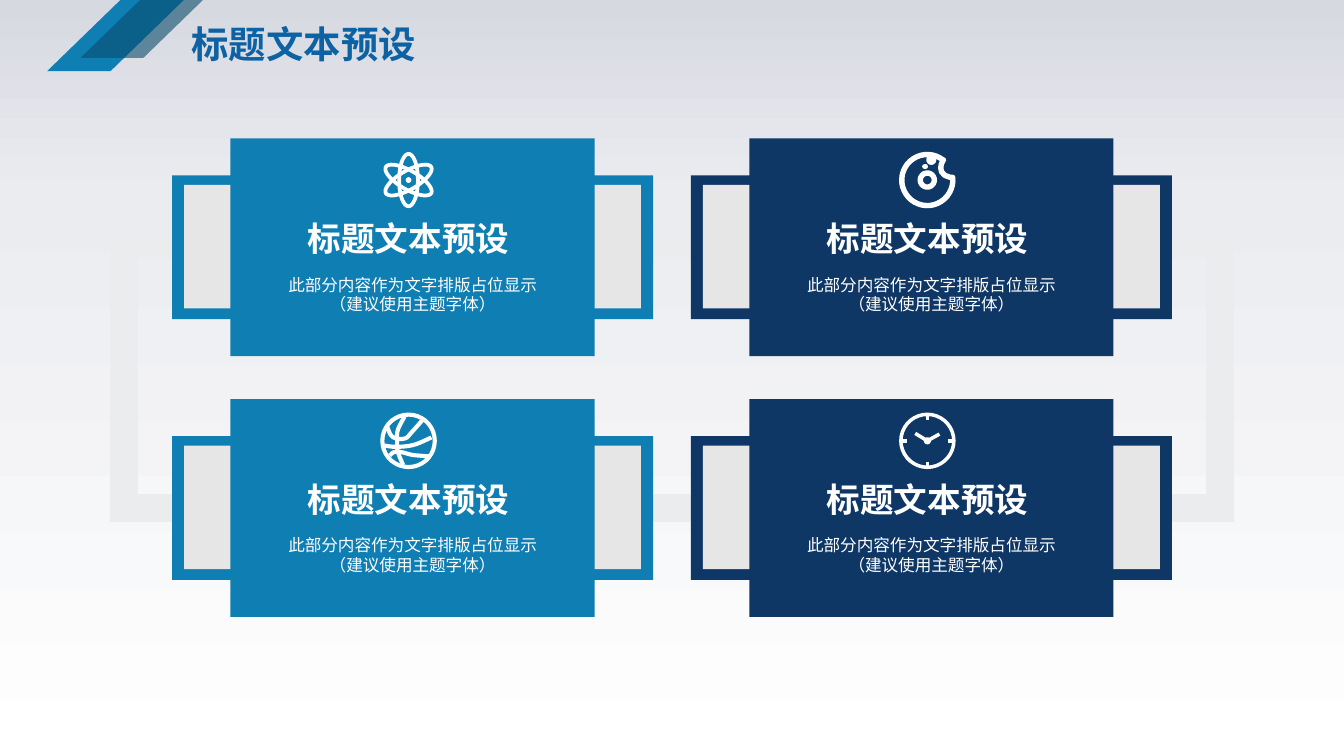
from math import cos, radians, sin

from lxml import etree
from pptx import Presentation
from pptx.dml.color import RGBColor
from pptx.enum.shapes import MSO_SHAPE
from pptx.enum.text import MSO_ANCHOR, PP_ALIGN
from pptx.oxml.ns import qn
from pptx.util import Inches, Pt

RECTANGLE, PARALLELOGRAM = MSO_SHAPE.RECTANGLE, MSO_SHAPE.PARALLELOGRAM
MIDDLE, BOTTOM = MSO_ANCHOR.MIDDLE, MSO_ANCHOR.BOTTOM
CENTER = PP_ALIGN.CENTER

THEME = {
    "font": "Calibri", "white": "FFFFFF", "title": "0D62A4", "blue": "0F7EB3",
    "navy": "0F3766", "shade": "094C6D", "panel": "E6E6E6", "track": "EAECED",
    "background": [(0, "D7D9E1"), (26, "EBECF0"), (100, "FFFFFF")],
    "title_size": 20, "heading_size": 18, "body_size": 8.9,
}

TITLE = "标题文本预设"
HEADING = "标题文本预设"
BODY = "此部分内容作为文字排版占位显示\n（建议使用主题字体）"
# column, row, colour, icon
CARDS = [(0, 0, "blue", "atom"), (1, 0, "navy", "donut"),
         (0, 1, "blue", "ball"), (1, 1, "navy", "clock")]

SLIDE_WIDTH = 10
SLIDE_HEIGHT = SLIDE_WIDTH * 9 / 16
COLUMN_LEFT, COLUMN_PITCH = 1.28, 3.86
ROW_TOP, ROW_PITCH = 1.03, 1.94
FRAME_WIDTH, FRAME_HEIGHT = 3.58, 1.07
CARD_WIDTH, CARD_HEIGHT = 2.71, 1.62


def ring(x, y, radius_x, radius_y, turn=0):
    """Return the closed outline of an ellipse, turned by some degrees."""
    tilt_x, tilt_y = cos(radians(turn)), sin(radians(turn))
    points = []
    for angle in range(0, 360, 10):
        across, down = radius_x * cos(radians(angle)), radius_y * sin(radians(angle))
        points.append((x + across * tilt_x - down * tilt_y, y + across * tilt_y + down * tilt_x))
    return points, True


def smooth(points, steps=6):
    """Return an open Catmull-Rom curve through the points."""
    padded = [points[0], *points, points[-1]]
    curve = []
    for corners in zip(padded, padded[1:], padded[2:], padded[3:]):
        for t in (step / steps for step in range(steps)):
            curve.append(tuple(
                q + t / 2 * (r - p + t * (2*p - 5*q + 4*r - s + t * (3*q - p - 3*r + s)))
                for p, q, r, s in zip(*corners)))
    return curve + [points[-1]], False


BITTEN_EDGE = [(19 * cos(radians(angle)), 19 * sin(radians(angle))) for angle in range(-6, 310, 9)]
BITE = [(12, -15), (10.5, -12), (10, -9), (10.7, -6), (13, -3.5), (17, -2)]
SEAMS = [[(-3, -18), (-8, -8), (-8.5, 0), (-8, 8), (-4, 18)],
         [(10, -15), (2, -6), (-2, -2), (-8, -1.5), (-13, -4), (-16, -11)],
         [(-18, 3.5), (-9, 4.5), (4, 3), (17, -2.5)],
         [(-14, 11), (-11, 8.5), (-5, 8.5), (3, 10.5), (15, 11.5)]]
TICKS = [([(15.5 * x, 15.5 * y), (19 * x, 19 * y)], False)
         for x, y in ((1, 0), (-1, 0), (0, 1), (0, -1))]
# line width, then contours in hundredths of an inch from the icon's centre
ICONS = {
    "atom": (2, [ring(0, 0, 7, 19.5, turn) for turn in (0, 60, 120)] + [ring(0, 0, 0.7, 0.7)]),
    "donut": (2.9, [(BITTEN_EDGE + BITE, True), ring(0, 0, 5.2, 5.2), ring(3, -15, 1.7, 1.7),
                    ring(-1.5, -10, 0.1, 0.1)]),
    "ball": (2.2, [ring(0, 0, 19.5, 19.5)] + [smooth(seam) for seam in SEAMS]),
    "clock": (1.9, [ring(0, 0, 19.7, 19.7), ring(0, 0, 1.3, 1.3), ([(0, 0), (-9, -5.5)], False),
                    ([(0, 0), (9, -5)], False)] + TICKS),
}


def color(name):
    return RGBColor.from_string(THEME[name])


def add_filled(slide, kind, left, top, width, height, fill):
    shape = slide.shapes.add_shape(kind, Inches(left), Inches(top), Inches(width), Inches(height))
    shape.shadow.inherit = False
    shape.line.fill.background()
    if fill:
        shape.fill.solid()
        shape.fill.fore_color.rgb = color(fill)
    else:
        shape.fill.background()
    return shape


def outline(shape, name, width):
    shape.line.color.rgb = color(name)
    shape.line.width = Pt(width)


def add_text(slide, text, box, size, name, anchor, bold=True, wrap=False):
    frame = slide.shapes.add_textbox(*(Inches(length) for length in box)).text_frame
    frame.margin_left = frame.margin_right = frame.margin_top = frame.margin_bottom = 0
    frame.word_wrap = wrap
    frame.vertical_anchor = anchor
    paragraph = frame.paragraphs[0]
    paragraph.text = text
    paragraph.alignment = CENTER
    font = paragraph.font
    font.name, font.size, font.bold = THEME["font"], Pt(THEME[size]), bold
    font.color.rgb = color(name)


def add_icon(slide, icon, center_x, center_y):
    width, contours = ICONS[icon]
    builder = None
    for points, closed in contours:
        places = [(Inches(center_x + x / 100), Inches(center_y + y / 100)) for x, y in points]
        if builder is None:
            builder = slide.shapes.build_freeform(*places[0])
        else:
            builder.move_to(*places[0])
        builder.add_line_segments(places[1:], close=closed)
    shape = builder.convert_to_shape()
    shape.shadow.inherit = False
    shape.fill.background()
    outline(shape, "white", width)


def add_card(slide, column, row, fill, icon):
    left = COLUMN_LEFT + column * COLUMN_PITCH
    top = ROW_TOP + row * ROW_PITCH
    center = left + FRAME_WIDTH / 2
    add_filled(slide, RECTANGLE, center - CARD_WIDTH / 2, top, CARD_WIDTH, CARD_HEIGHT, fill)
    add_icon(slide, icon, center - 0.03, top + 0.31)
    add_text(slide, HEADING, (center - 0.79, top + 0.6, 1.52, 0.29),
             "heading_size", "white", BOTTOM)
    add_text(slide, BODY, (center - 1.14, top + 1, 2.28, 0.32),
             "body_size", "white", MIDDLE, bold=False, wrap=True)


def add_frame(slide, column, row, fill):
    left = COLUMN_LEFT + column * COLUMN_PITCH
    top = ROW_TOP + row * ROW_PITCH + (CARD_HEIGHT - FRAME_HEIGHT) / 2
    add_filled(slide, RECTANGLE, left, top, FRAME_WIDTH, FRAME_HEIGHT, fill)
    add_filled(slide, RECTANGLE, left + 0.09, top + 0.07,
               FRAME_WIDTH - 0.18, FRAME_HEIGHT - 0.15, "panel")


def set_background(slide):
    fill = slide.background.fill
    fill.gradient()
    fill.gradient_angle = 270
    stops = slide._element.find(".//" + qn("a:gsLst"))
    for stop in list(stops):
        stops.remove(stop)
    for position, value in THEME["background"]:
        stop = etree.SubElement(stops, qn("a:gs"), pos=str(position * 1000))
        etree.SubElement(stop, qn("a:srgbClr"), val=value)


def main():
    presentation = Presentation()
    presentation.slide_width, presentation.slide_height = Inches(SLIDE_WIDTH), Inches(SLIDE_HEIGHT)
    slide = presentation.slides.add_slide(presentation.slide_layouts[6])
    set_background(slide)

    for box, fill in (((0.35, -0.74, 1.78, 1.27), "blue"), ((0.6, -0.64, 1.57, 1.07), "shade")):
        ribbon = add_filled(slide, PARALLELOGRAM, *box, fill)
        ribbon.adjustments[0] = 1.03
    shade = ribbon._element.spPr.find(qn("a:solidFill"))[0]
    etree.SubElement(shade, qn("a:alpha"), val="60000")

    track = add_filled(slide, RECTANGLE, 0.92, 1.82, 8.16, 1.96, None)
    outline(track, "track", 15)
    etree.SubElement(track._element.spPr.find(qn("a:ln")), qn("a:miter"), lim="800000")
    for column, row, fill, icon in CARDS:
        add_frame(slide, column, row, fill)
    for card in CARDS:
        add_card(slide, *card)
    add_text(slide, TITLE, (0.85, 0.09, 2.82, 0.47), "title_size", "title", MIDDLE)
    presentation.save("out.pptx")


if __name__ == "__main__":
    main()
